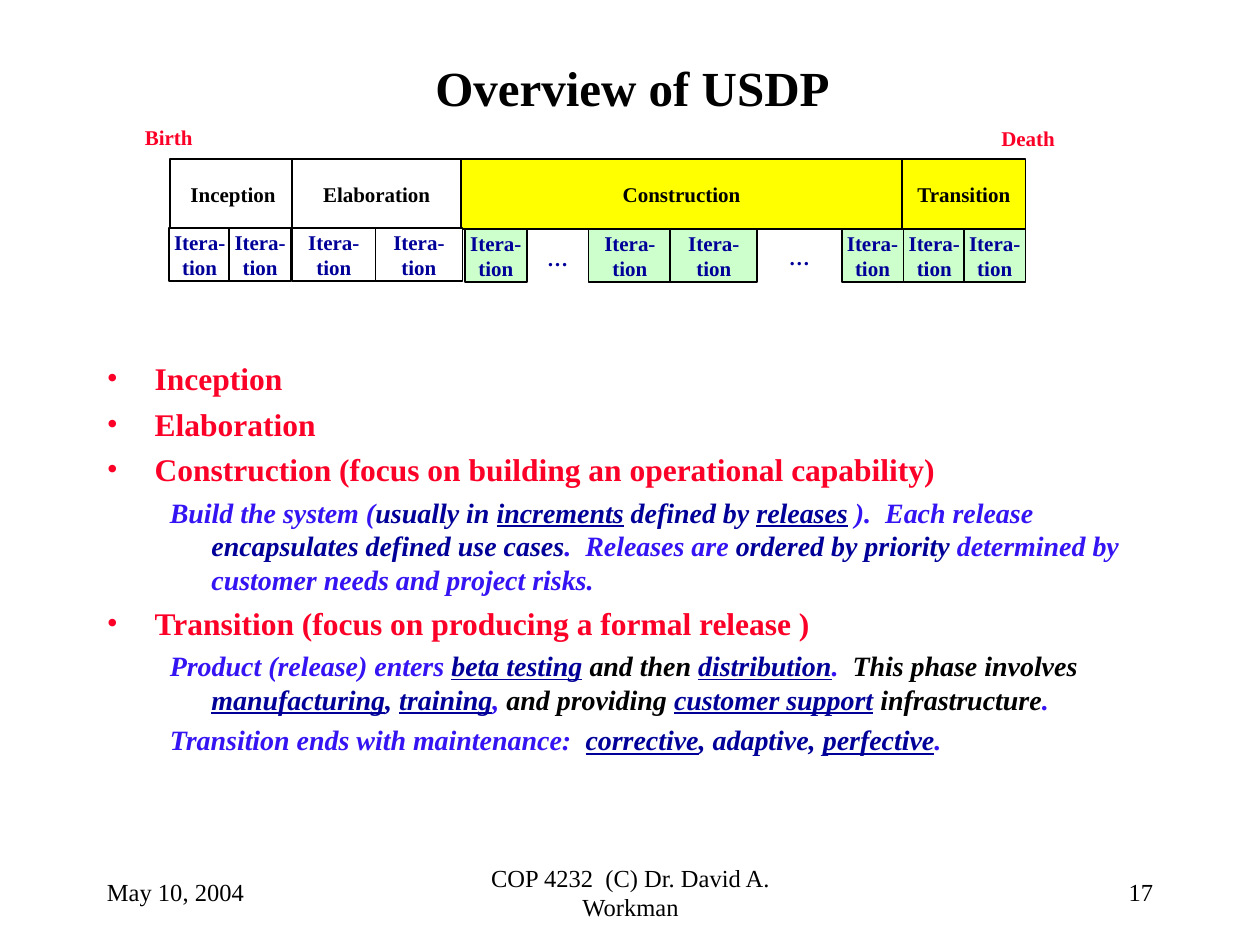
from lxml.etree import SubElement
from pptx import Presentation
from pptx.dml.color import RGBColor
from pptx.enum.shapes import MSO_SHAPE
from pptx.enum.text import MSO_ANCHOR, MSO_AUTO_SIZE, PP_ALIGN
from pptx.oxml.ns import qn
from pptx.util import Inches, Pt

COLORS = {
    "black": "000000", "white": "FFFFFF", "red": "FC0128", "blue": "3414F2",
    "navy": "000099", "yellow": "FFFF00", "green": "CCFFCC",
}
FONT = "Times New Roman"
CELL = 0.1  # inches: the slide is a grid of 100 columns by 75 rows

# Lifecycle phases: name, left column, width, fill
PHASES = [
    ("Inception", 13.5, 10, "white"),
    ("Elaboration", 23.2, 13.4, "white"),
    ("Construction", 36.6, 35, "yellow"),
    ("Transition", 71.6, 9.8, "yellow"),
]
# Ends of the timeline: name, left column, top row, width
ENDS = [("Birth", 10.4, 9.4, 6), ("Death", 78.3, 9.5, 6.6)]
# Iterations by row and fill, each with left column and width
ITERATIONS = [
    (18.1, "white", [(13.4, 4.9), (18.2, 4.9), (23.2, 6.6), (29.8, 6.9)]),
    (18.2, "green", [(36.9, 4.9), (66.8, 4.9), (46.7, 6.6), (53.2, 6.9),
                     (71.7, 4.9), (76.5, 4.9)]),
]
GAPS = [(42.7, 18.6, 3.1, 3.8), (60.6, 18.3, 5.7, 4.2)]

# Body text: a string is a bulleted heading, a list holds the runs of a detail.
# A run is (text, color) or (text, color, underlined).
BODY = [
    "Inception",
    "Elaboration",
    "Construction (focus on building an operational capability)",
    [("Build the system (", "blue"), ("usually in ", "navy"),
     ("increments", "navy", True), (" defined by ", "navy"),
     ("releases", "navy", True), (" ).  Each release ", "blue"),
     ("encapsulates defined use cases", "navy"), (".  Releases are ", "blue"),
     ("ordered by priority", "navy"),
     (" determined by customer needs and project risks.", "blue")],
    "Transition (focus on producing a formal release )",
    [("Product (release) enters ", "blue"), ("beta testing", "navy", True),
     (" ", "blue"), ("and then ", "black"), ("distribution", "navy", True),
     (".  ", "blue"), ("This phase involves ", "black"),
     ("manufacturing", "navy", True), (", ", "navy"),
     ("training", "navy", True), (", ", "blue"), ("and providing ", "black"),
     ("customer support", "navy", True), (" ", "blue"),
     ("infrastructure", "black"), (".", "blue")],
    [("Transition ends with maintenance:  ", "blue"),
     ("corrective", "navy", True), (", adaptive, ", "navy"),
     ("perfective", "navy", True), (".", "blue")],
]


def rgb(name):
    return RGBColor.from_string(COLORS[name])


def grid(*cells):
    return [Inches(cell * CELL) for cell in cells]


def add_run(paragraph, text, color, underline=False, size=12, bold=True, italic=False):
    run = paragraph.add_run()
    run.text = text
    font = run.font
    font.name, font.size, font.bold, font.italic = FONT, Pt(size), bold, italic
    font.color.rgb = rgb(color)
    if underline:
        font.underline = True


def write_text(shape, text, color="black", align=PP_ALIGN.CENTER,
               anchor=MSO_ANCHOR.MIDDLE, wrap=False, grow=False, **font):
    frame = shape.text_frame
    frame.word_wrap, frame.vertical_anchor = wrap, anchor
    if grow:
        frame.auto_size = MSO_AUTO_SIZE.SHAPE_TO_FIT_TEXT
    for index, line in enumerate(text.split("\n")):
        paragraph = frame.add_paragraph() if index else frame.paragraphs[0]
        paragraph.alignment = align
        add_run(paragraph, line, color, **font)


def add_label(slide, cells, text, **text_format):
    write_text(slide.shapes.add_textbox(*grid(*cells)), text, **text_format)


def add_box(slide, cells, text, fill, outlined=True, **text_format):
    shape = slide.shapes.add_shape(MSO_SHAPE.RECTANGLE, *grid(*cells))
    shape.shadow.inherit = False
    shape.fill.solid()
    shape.fill.fore_color.rgb = rgb(fill)
    if outlined:
        shape.line.color.rgb = rgb("black")
        shape.line.width = Pt(1)
    else:
        shape.line.fill.background()
    write_text(shape, text, **text_format)


def indent(paragraph, margin, hanging):
    properties = paragraph._p.get_or_add_pPr()
    properties.set("marL", str(Inches(margin)))
    properties.set("indent", str(-Inches(hanging)))
    return properties


def add_bullet(properties, color):
    bullet_color = SubElement(properties, qn("a:buClr"))
    SubElement(bullet_color, qn("a:srgbClr")).set("val", COLORS[color])
    SubElement(properties, qn("a:buFont")).set("typeface", FONT)
    SubElement(properties, qn("a:buChar")).set("char", "•")


def add_body(slide, cells):
    frame = slide.shapes.add_textbox(*grid(*cells)).text_frame
    frame.word_wrap = True
    for index, entry in enumerate(BODY):
        paragraph = frame.add_paragraph() if index else frame.paragraphs[0]
        heading = isinstance(entry, str)
        if index:
            paragraph.space_before = Pt(4.5 if heading else 4)
        if heading:
            add_bullet(indent(paragraph, 0.38, 0.38), "red")
            add_run(paragraph, entry, "red", size=18)
        else:
            paragraph.level = 1
            indent(paragraph, 0.83, 0.33)
            for run in entry:
                add_run(paragraph, *run, size=16, italic=True)


def add_timeline(slide):
    for name, left, width, fill in PHASES:
        add_box(slide, (left, 12.6, width, 5.6), name, fill)
    for name, left, top, width in ENDS:
        add_label(slide, (left, top, width, 3), name, color="red",
                  anchor=MSO_ANCHOR.TOP, grow=True)
    for top, fill, columns in ITERATIONS:
        for left, width in columns:
            add_box(slide, (left, top, width, 4.2), "Itera-\ntion", fill, color="navy")
    for cells in GAPS:
        add_box(slide, cells, "…", "white", outlined=False, color="navy")


def add_footer(slide):
    for left, width, text, align in [
        (7.5, 20.8, "May 10, 2004", PP_ALIGN.LEFT),
        (34.2, 31.7, "COP 4232  (C) Dr. David A. Workman", PP_ALIGN.CENTER),
        (71.7, 20.8, "17", PP_ALIGN.RIGHT),
    ]:
        add_label(slide, (left, 68.3, width, 5), text, align=align, wrap=True,
                  size=14, bold=False)


def main():
    presentation = Presentation()
    presentation.slide_width, presentation.slide_height = grid(100, 75)
    slide = presentation.slides.add_slide(presentation.slide_layouts[6])
    # Title, body, timeline and footer
    add_label(slide, (7.7, 4, 85, 5.8), "Overview of USDP", size=28, wrap=True)
    add_body(slide, (7.5, 28, 85, 32.6))
    add_timeline(slide)
    add_footer(slide)
    presentation.save("out.pptx")


if __name__ == "__main__":
    main()
